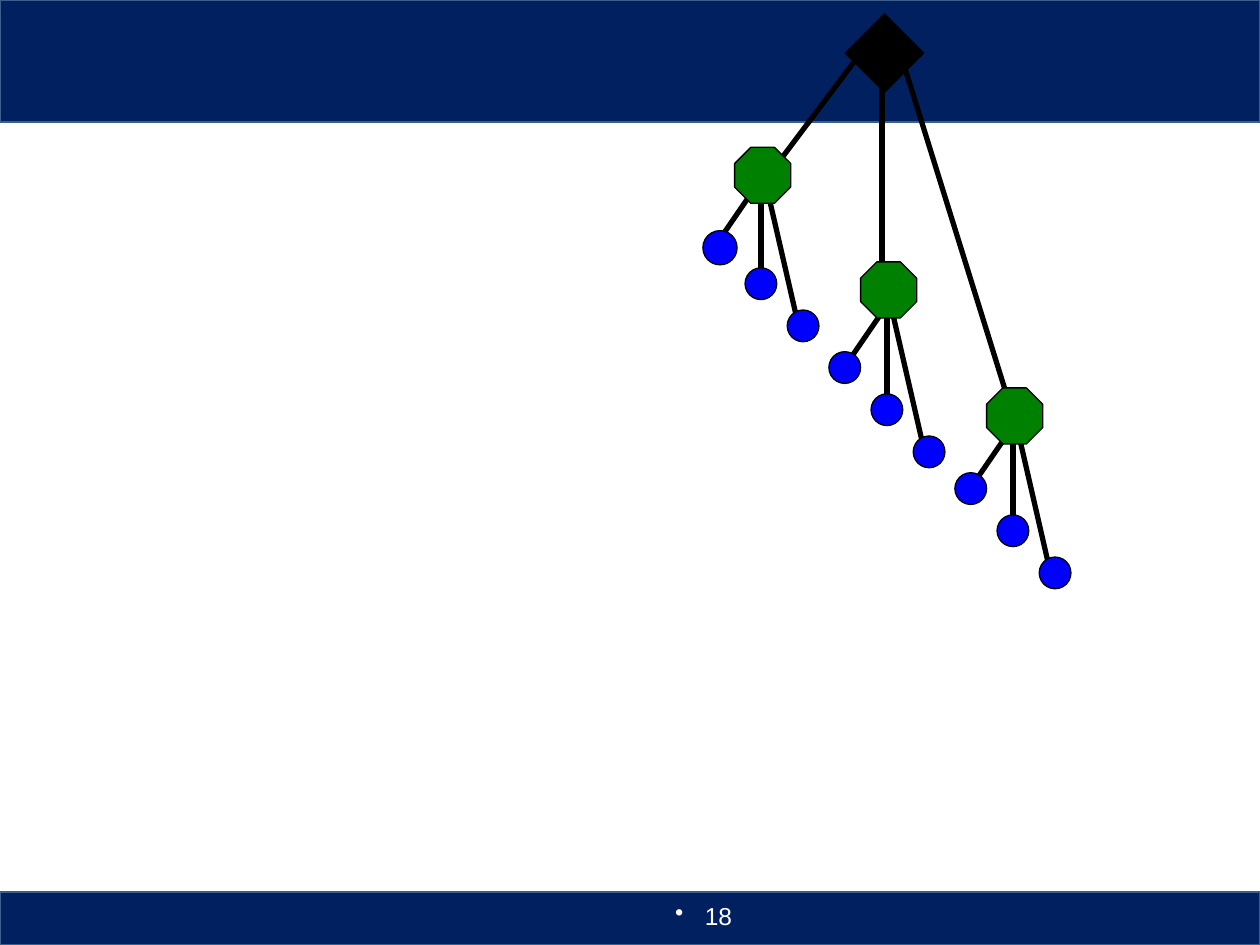
from dataclasses import dataclass

from lxml.etree import SubElement
from pptx import Presentation
from pptx.dml.color import RGBColor
from pptx.enum.shapes import MSO_CONNECTOR, MSO_SHAPE
from pptx.enum.text import PP_ALIGN
from pptx.oxml.ns import qn
from pptx.shapes.autoshape import Shape
from pptx.slide import Slide
from pptx.util import Cm, Pt

NAVY = RGBColor(0x00, 0x20, 0x60)
BAND_EDGE = RGBColor(0x3A, 0x5F, 0x8C)
BLACK = RGBColor(0x00, 0x00, 0x00)
GREEN = RGBColor(0x00, 0x80, 0x00)
BLUE = RGBColor(0x00, 0x00, 0xFF)
WHITE = RGBColor(0xFF, 0xFF, 0xFF)

# All lengths below are centimetres
PAGE_WIDTH, PAGE_HEIGHT = 25.4, 19.05
BRANCH_STEP = 2.54
LEAF_STEP = 0.85
LEAF_SIZE = 0.64


@dataclass(frozen=True)
class Style:
    preset: MSO_SHAPE
    fill: RGBColor
    edge: RGBColor = BLACK
    weight: float = 0.75


@dataclass(frozen=True)
class Branch:
    hub_top: float
    leaf_top: float
    stem_start: tuple[float, float]
    stem_end: tuple[float, float]
    first_leaf: Style
    first_leaf_size: float = LEAF_SIZE
    first_leaf_drop: float = 0


BAND = Style(MSO_SHAPE.RECTANGLE, NAVY, BAND_EDGE, 1)
ROOT = Style(MSO_SHAPE.DIAMOND, BLACK)
HUB = Style(MSO_SHAPE.OCTAGON, GREEN)
LEAF = Style(MSO_SHAPE.OVAL, BLUE)
ROUND_LEAF = Style(MSO_SHAPE.FLOWCHART_CONNECTOR, BLUE)

BRANCHES = [
    Branch(2.97, 4.55, (17.35, 1.07), (15.44, 3.61), ROUND_LEAF, 0.69, 0.1),
    Branch(5.28, 7.09, (17.78, 1.27), (17.78, 6.15), LEAF),
    Branch(7.82, 9.53, (18.21, 1.27), (20.52, 8.69), LEAF),
]
# Spoke ends, measured from the corner of the first leaf
SPOKES = [
    ((1.17, -0.94), (0.3, 0.33)),
    ((1.17, -0.89), (1.17, 1.24)),
    ((1.27, -0.84), (1.9, 1.9)),
]


def draw_shape(page: Slide, style: Style, left: float, top: float,
               width: float, height: float) -> Shape:
    shape = page.shapes.add_shape(
        style.preset, Cm(left), Cm(top), Cm(width), Cm(height))
    shape.shadow.inherit = False
    shape.fill.solid()
    shape.fill.fore_color.rgb = style.fill
    shape.line.color.rgb = style.edge
    shape.line.width = Pt(style.weight)
    return shape


def draw_line(page: Slide, start: tuple[float, float],
              end: tuple[float, float]) -> None:
    line = page.shapes.add_connector(
        MSO_CONNECTOR.STRAIGHT, *map(Cm, start + end))
    line.line.color.rgb = BLACK
    line.line.width = Pt(3)
    SubElement(line._element.spPr, qn("a:effectLst"))


def draw_leaves(page: Slide, branch: Branch, left: float) -> None:
    for start, end in SPOKES:
        draw_line(page, (left + start[0], branch.leaf_top + start[1]),
                  (left + end[0], branch.leaf_top + end[1]))
    draw_shape(page, branch.first_leaf, left,
               branch.leaf_top + branch.first_leaf_drop,
               branch.first_leaf_size, branch.first_leaf_size)
    for index in (1, 2):
        offset = index * LEAF_STEP
        draw_shape(page, LEAF, left + offset, branch.leaf_top + offset,
                   LEAF_SIZE, LEAF_SIZE)


def draw_page_number(page: Slide, number: str) -> None:
    box = page.shapes.add_textbox(Cm(9.09), Cm(17.98), Cm(5.92), Cm(1.02))
    frame = box.text_frame
    frame.word_wrap = True
    frame.margin_top = Cm(0.18)
    para = frame.paragraphs[0]
    para.text = number
    para.alignment = PP_ALIGN.RIGHT
    properties = para._p.get_or_add_pPr()
    properties.set("marL", str(Cm(0.6)))
    properties.set("indent", str(-Cm(0.6)))
    SubElement(properties, qn("a:buChar"), char="•")
    para.font.name = "Arial"
    para.font.size = Pt(14)
    para.font.color.rgb = WHITE


def main() -> None:
    deck = Presentation()
    deck.slide_width, deck.slide_height = Cm(PAGE_WIDTH), Cm(PAGE_HEIGHT)
    page = deck.slides.add_slide(deck.slide_layouts[6])

    # Header and footer bands
    draw_shape(page, BAND, 0, 0, PAGE_WIDTH, 2.46)
    draw_shape(page, BAND, 0, 17.98, PAGE_WIDTH, 1.07)
    draw_page_number(page, "18")

    # Leaves with their spokes
    for index, branch in enumerate(BRANCHES):
        draw_leaves(page, branch, 14.17 + index * BRANCH_STEP)

    # Stems, then the root and hubs over their ends
    for branch in BRANCHES:
        draw_line(page, branch.stem_start, branch.stem_end)
    draw_shape(page, ROOT, 17.04, 0.28, 1.58, 1.58)
    for index, branch in enumerate(BRANCHES):
        hub = draw_shape(page, HUB, 14.81 + index * BRANCH_STEP,
                         branch.hub_top, 1.13, 1.13)
        hub.adjustments[0] = 0.29

    deck.save("out.pptx")


if __name__ == "__main__":
    main()
